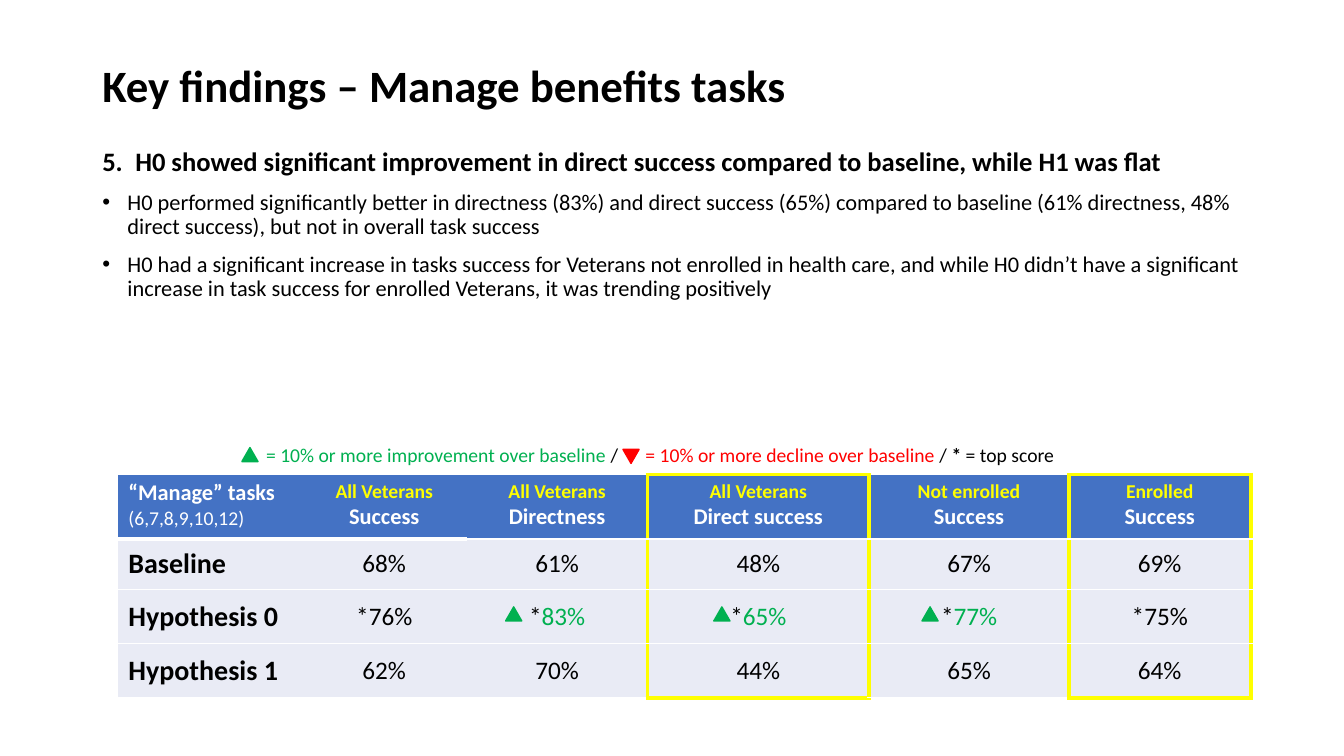
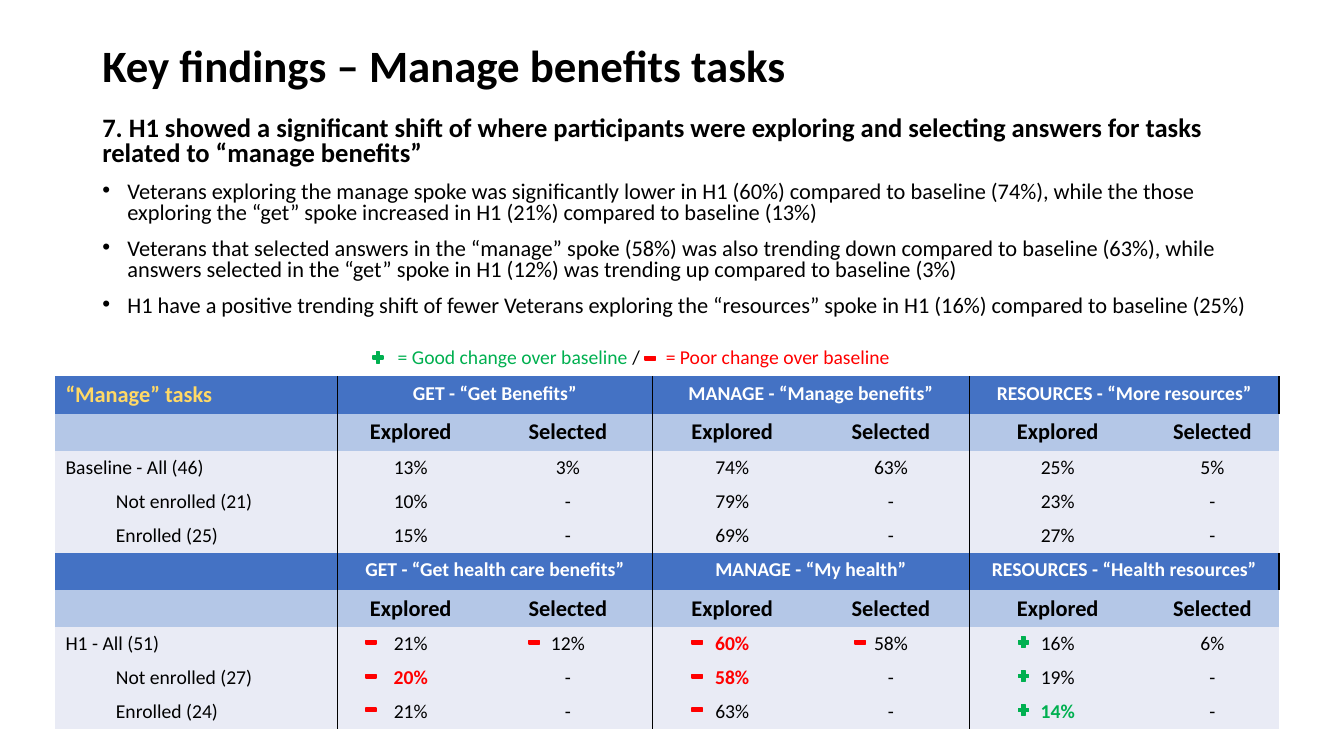
from lxml import etree
from pptx import Presentation
from pptx.dml.color import RGBColor
from pptx.enum import shapes, text
from pptx.oxml.ns import qn
from pptx.util import Pt

BLACK = RGBColor(0, 0, 0)
WHITE = RGBColor(255, 255, 255)
YELLOW = RGBColor(255, 255, 0)
GOLD = RGBColor(0xFF, 0xD9, 0x66)
GREEN = RGBColor(0x00, 0xB0, 0x50)
RED = RGBColor(255, 0, 0)
BLUE = RGBColor(0x44, 0x72, 0xC4)
LIGHT_BLUE = RGBColor(0xB4, 0xC7, 0xE7)
PALE = RGBColor(0xE9, 0xEB, 0xF5)
FONT = "Calibri"
LEFT, CENTER = text.PP_ALIGN.LEFT, text.PP_ALIGN.CENTER
TOP, MIDDLE = text.MSO_ANCHOR.TOP, text.MSO_ANCHOR.MIDDLE
UP = DOWN = shapes.MSO_SHAPE.ISOSCELES_TRIANGLE
PLUS, MINUS = shapes.MSO_SHAPE.MATH_PLUS, shapes.MSO_SHAPE.MATH_MINUS

TITLE = "Key findings – Manage benefits tasks"

SUCCESS_FINDING = "5.\tH0 showed significant improvement in direct success compared to baseline, while H1 was flat"
SUCCESS_POINTS = [
    "H0 performed significantly better in directness (83%) and direct success (65%) compared to baseline "
    "(61% directness, 48% direct success), but not in overall task success",
    "H0 had a significant increase in tasks success for Veterans not enrolled in health care, and while H0 didn’t "
    "have a significant increase in task success for enrolled Veterans, it was trending positively",
]
SUCCESS_LEGEND = [
    ("= 10% or more improvement over baseline", GREEN, False),
    (" /\t", BLACK, False),
    ("= 10% or more decline over baseline ", RED, False),
    ("/ ", BLACK, False),
    ("*", BLACK, True),
    (" = top score", BLACK, False),
]
SUCCESS_WIDTHS = [131, 118, 129, 158.5, 142.5, 130]
SUCCESS_HEIGHTS = [46, 36, 38.7, 38.7]
SUCCESS_HEADERS = [
    ("All Veterans", "Success"),
    ("All Veterans", "Directness"),
    ("All Veterans", "Direct success"),
    ("Not enrolled", "Success"),
    ("Enrolled", "Success"),
]
SUCCESS_ROWS = [
    ("Baseline", ["68%", "61%", "48%", "67%", "69%"]),
    ("Hypothesis 0", ["*76%", "*83%", "*65%", "*77%", "*75%"]),
    ("Hypothesis 1", ["62%", "70%", "44%", "65%", "64%"]),
]
IMPROVED = {"*83%", "*65%", "*77%"}
BOXED = {3, 5}

SHIFT_FINDING = ("7. H1 showed a significant shift of where participants were exploring and selecting answers "
                 "for tasks related to “manage benefits”")
SHIFT_POINTS = [
    "Veterans exploring the manage spoke was significantly lower in H1 (60%) compared to baseline (74%), while the "
    "those exploring the “get” spoke increased in H1 (21%) compared to baseline (13%)",
    "Veterans that selected answers in the “manage” spoke (58%) was also trending down compared to baseline (63%), "
    "while answers selected in the “get” spoke in H1 (12%) was trending up compared to baseline (3%)",
    "H1 have a positive trending shift of fewer Veterans exploring the “resources” spoke in H1 (16%) compared to "
    "baseline (25%)",
]
SHIFT_LEGEND = [
    ("= Good change over baseline", GREEN, False),
    (" /\t", BLACK, False),
    ("= Poor change over baseline", RED, False),
]
SHIFT_WIDTHS = [201.6, 104.4, 120.2, 114.5, 112.3, 126, 95]
SHIFT_HEIGHTS = [26.6, 26.6, 24.3, 24.3, 24.3] * 2
SHIFT_BLOCKS = [
    ("“Manage” tasks",
     ["GET - “Get Benefits”", "MANAGE - “Manage benefits”", "RESOURCES - “More resources”"],
     [("Baseline - All (46)", ["13%", "3%", "74%", "63%", "25%", "5%"]),
      ("Not enrolled (21)", ["10%", "-", "79%", "-", "23%", "-"]),
      ("Enrolled (25)", ["15%", "-", "69%", "-", "27%", "-"])]),
    ("",
     ["GET - “Get health care benefits”", "MANAGE - “My health”", "RESOURCES - “Health resources”"],
     [("H1 - All (51)", ["21%", "12%", "60%", "58%", "16%", "6%"]),
      ("Not enrolled (27)", ["20%", "-", "58%", "-", "19%", "-"]),
      ("Enrolled (24)", ["21%", "-", "63%", "-", "14%", "-"])]),
]
BLOCK_ROWS = 5
SIGNIFICANT = {(7, 3): RED, (8, 1): RED, (8, 3): RED, (9, 5): GREEN}
CHANGES = [(0, 1, MINUS), (1, 1, MINUS), (2, 1, MINUS), (0, 2, MINUS), (0, 3, MINUS), (1, 3, MINUS),
           (2, 3, MINUS), (0, 4, MINUS), (0, 5, PLUS), (1, 5, PLUS), (2, 5, PLUS)]


def add_run(paragraph, words, size, color=BLACK, bold=False):
    run = paragraph.add_run()
    run.text = words
    font = run.font
    font.name, font.size, font.bold = FONT, Pt(size), bold
    font.color.rgb = color


def indent(paragraph, margin, first=0):
    props = paragraph._p.get_or_add_pPr()
    props.set("marL", str(Pt(margin)))
    props.set("indent", str(Pt(first)))
    return props


def add_box(slide, left, top, width, height, anchor=TOP):
    frame = slide.shapes.add_textbox(Pt(left), Pt(top), Pt(width), Pt(height)).text_frame
    frame.word_wrap = True
    frame.vertical_anchor = anchor
    return frame


def add_title(slide, top):
    heading = add_box(slide, 66, top, 828, 67.7, MIDDLE).paragraphs[0]
    heading.line_spacing = 0.9
    add_run(heading, TITLE, 32, bold=True)


def add_findings(slide, top, finding, points, spacing):
    frame = add_box(slide, 66, top, 847.5, 165)
    headline = frame.paragraphs[0]
    headline.line_spacing = spacing
    if "\t" in finding:
        indent(headline, 23.6, -23.6)
    add_run(headline, finding, 19, bold=True)
    for point in points:
        bullet = frame.add_paragraph()
        bullet.line_spacing = spacing
        bullet.space_before = Pt(10)
        props = indent(bullet, 18, -18)
        etree.SubElement(props, qn("a:buFont"), typeface="Arial")
        etree.SubElement(props, qn("a:buChar"), char="•")
        add_run(bullet, point, 16)


def add_legend(slide, left, top, stop, parts):
    legend = add_box(slide, left, top, 640, 24.5).paragraphs[0]
    legend.line_spacing = 0.9
    tabs = etree.SubElement(legend._p.get_or_add_pPr(), qn("a:tabLst"))
    etree.SubElement(tabs, qn("a:tab"), pos=str(Pt(stop)), algn="l")
    for words, color, bold in parts:
        add_run(legend, words, 14, color, bold)


def add_mark(slide, kind, left, top, width, height, color, rotation=0):
    mark = slide.shapes.add_shape(kind, Pt(left), Pt(top), Pt(width), Pt(height))
    mark.shadow.inherit = False
    mark.rotation = rotation
    mark.fill.solid()
    mark.fill.fore_color.rgb = color
    mark.line.color.rgb = color
    mark.line.width = Pt(1)


def add_grid(slide, left, top, widths, heights):
    table = slide.shapes.add_table(len(heights), len(widths), Pt(left), Pt(top),
                                   Pt(sum(widths)), Pt(sum(heights))).table
    table.first_row = table.horz_banding = False
    for column, width in zip(table.columns, widths):
        column.width = Pt(width)
    for row, height in zip(table.rows, heights):
        row.height = Pt(height)
    return table


def write_cell(cell, lines, align=CENTER, anchor=TOP):
    cell.vertical_anchor = anchor
    frame = cell.text_frame
    for number, runs in enumerate(lines):
        line = frame.add_paragraph() if number else frame.paragraphs[0]
        line.alignment = align
        for run in runs:
            add_run(line, *run)


def paint_table(table, fill_of, vertical, horizontal):
    for r, row in enumerate(table.rows):
        for c, cell in enumerate(row.cells):
            span = cell.span_width if cell.is_merge_origin else 1
            edges = {"L": vertical(c, r), "R": vertical(c + span, r),
                     "T": horizontal(r, c), "B": horizontal(r + 1, c)}
            props = cell._tc.get_or_add_tcPr()
            for side, edge in edges.items():
                color, width = edge or (None, 0)
                border = etree.SubElement(props, qn("a:ln" + side), w=str(Pt(width)))
                if edge:
                    solid = etree.SubElement(border, qn("a:solidFill"))
                    etree.SubElement(solid, qn("a:srgbClr"), val=str(color))
                else:
                    etree.SubElement(border, qn("a:noFill"))
            cell.fill.solid()
            cell.fill.fore_color.rgb = fill_of(r)
            if not cell.text_frame.text:
                cell.margin_top = cell.margin_bottom = 0


def success_vertical(line, row):
    return (YELLOW, 3) if line in BOXED or line - 1 in BOXED else None


def success_horizontal(line, column):
    if column in BOXED and line in (0, len(SUCCESS_HEIGHTS)):
        return YELLOW, 3
    return WHITE, 3 if line == 1 and column < 2 else 1


def shift_vertical(line, row):
    header_end = line == len(SHIFT_WIDTHS) and row % BLOCK_ROWS == 0
    return (BLACK, 1) if line in (1, 3, 5) or header_end else None


def build_success(slide):
    add_title(slide, 28.8)
    add_findings(slide, 102.2, SUCCESS_FINDING, SUCCESS_POINTS, 0.9)
    table = add_grid(slide, 84.5, 339, SUCCESS_WIDTHS, SUCCESS_HEIGHTS)
    write_cell(table.cell(0, 0), [[("“Manage” tasks", 16, WHITE, True)],
                                  [("(6,7,8,9,10,12)", 14, WHITE)]], LEFT)
    for c, (group, measure) in enumerate(SUCCESS_HEADERS, 1):
        write_cell(table.cell(0, c), [[(group, 14, YELLOW, True)], [(measure, 16, WHITE, True)]])
    for r, (label, values) in enumerate(SUCCESS_ROWS, 1):
        write_cell(table.cell(r, 0), [[(label, 20, BLACK, True)]], LEFT, MIDDLE)
        for c, value in enumerate(values, 1):
            runs = [("*", 18), (value[1:], 18, GREEN)] if value in IMPROVED else [(value, 18)]
            write_cell(table.cell(r, c), [runs], CENTER, MIDDLE)
    paint_table(table, lambda r: PALE if r else BLUE, success_vertical, success_horizontal)
    add_legend(slide, 183, 314.6, 271, SUCCESS_LEGEND)
    add_mark(slide, UP, 172.8, 319.7, 11.5, 10, GREEN)
    add_mark(slide, DOWN, 445, 321, 11.5, 10, RED, 180)
    for i in range(len(IMPROVED)):
        add_mark(slide, UP, 361.2 + 148.7 * i, 433.5, 11.5, 10, GREEN)


def build_shift(slide):
    table = add_grid(slide, 39.6, 268.8, SHIFT_WIDTHS, SHIFT_HEIGHTS)
    for b, (corner, spokes, rows) in enumerate(SHIFT_BLOCKS):
        start = b * BLOCK_ROWS
        if corner:
            write_cell(table.cell(start, 0), [[(corner, 16, GOLD, True)]], LEFT)
        for s, spoke in enumerate(spokes):
            c = 1 + 2 * s
            table.cell(start, c).merge(table.cell(start, c + 1))
            write_cell(table.cell(start, c), [[(spoke, 14, WHITE, True)]])
            for offset, measure in enumerate(("Explored", "Selected")):
                write_cell(table.cell(start + 1, c + offset), [[(measure, 16, BLACK, True)]])
        for r, (label, values) in enumerate(rows, start + 2):
            write_cell(table.cell(r, 0), [[(label, 14)]], LEFT)
            if "All" not in label:
                indent(table.cell(r, 0).text_frame.paragraphs[0], 36)
            for c, value in enumerate(values, 1):
                color = SIGNIFICANT.get((r, c), BLACK)
                write_cell(table.cell(r, c), [[(value, 14, color, (r, c) in SIGNIFICANT)]])
    fills = [BLUE, LIGHT_BLUE, PALE, PALE, PALE]
    paint_table(table, lambda r: fills[r % BLOCK_ROWS], shift_vertical, lambda line, column: None)
    add_legend(slide, 277, 244.8, 191.5, SHIFT_LEGEND)
    add_title(slide, 14.4)
    add_findings(slide, 80, SHIFT_FINDING, SHIFT_POINTS, 0.8)
    add_mark(slide, PLUS, 265, 250, 10, 10.8, GREEN)
    add_mark(slide, MINUS, 459.4, 250.5, 10, 10.8, RED)
    for row, column, kind in CHANGES:
        add_mark(slide, kind, 260 + 116.5 * (column - 1), 453.3 + 24.2 * row, 10, 10.8,
                 GREEN if kind == PLUS else RED)


def main():
    deck = Presentation()
    deck.slide_width, deck.slide_height = Pt(960), Pt(540)
    for build in (build_success, build_shift):
        build(deck.slides.add_slide(deck.slide_layouts[6]))
    deck.save("out.pptx")


if __name__ == "__main__":
    main()
